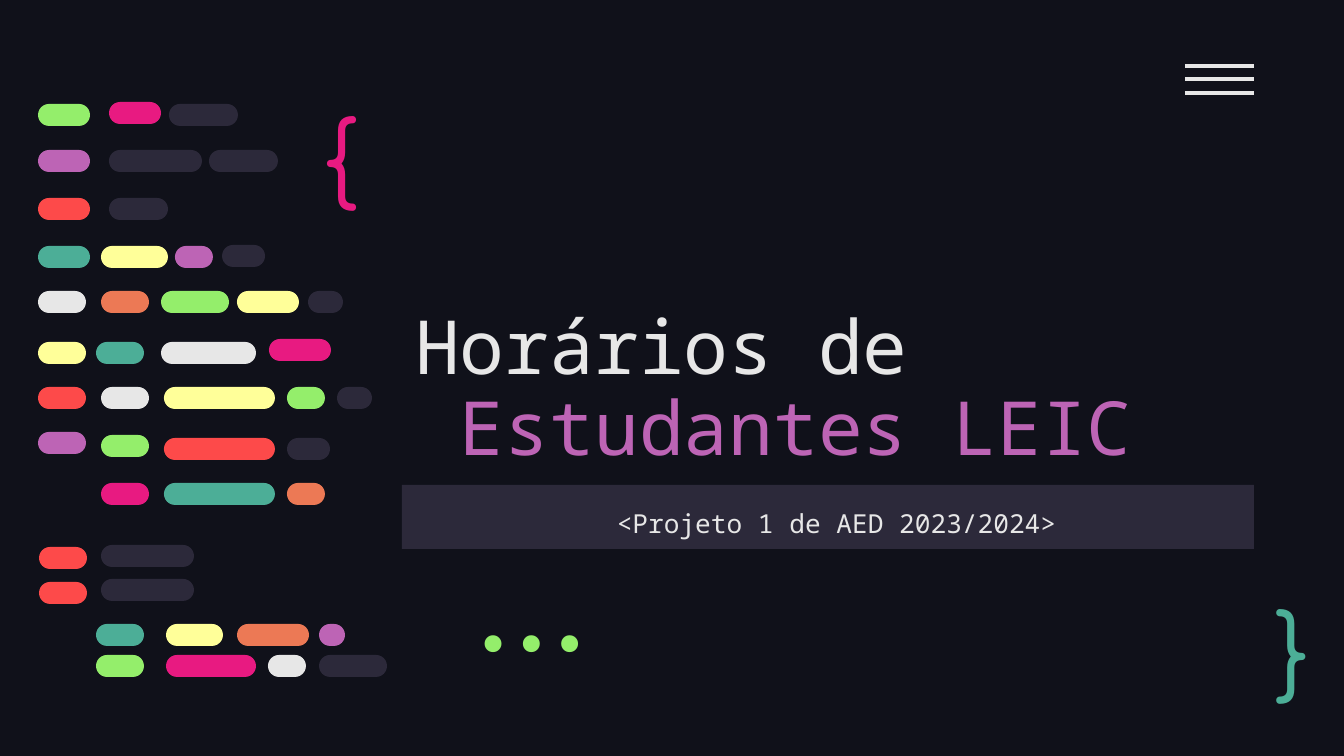
"""Build the title slide of a student timetable project, decorated with code-like pills."""
import lxml.etree
import pptx
import pptx.dml.color
import pptx.enum.shapes
import pptx.enum.text
import pptx.oxml.ns
import pptx.util

ALIGN = pptx.enum.text.PP_ALIGN
ANCHOR = pptx.enum.text.MSO_ANCHOR
SHAPE = pptx.enum.shapes.MSO_SHAPE

THEME = {
    "colours": {
        "night": "10111A", "slate": "2C293A", "white": "E7E7E7",
        "green": "94EE6B", "pink": "E81A81", "purple": "BD64B5",
        "red": "FD4A4A", "teal": "4CAE97", "yellow": "FFFF99", "orange": "EC7955",
    },
    "sizes": {"title": 40, "gap": 16, "subtitle": 14, "symbol": 50},
    "fonts": {"mono": "Noto Sans Mono", "round": "Comfortaa", "code": "Fira Code"},
    "rule": 2.25,
    "inset": 7.2,
}

PAGE_SIZE = (1344, 756)
EMU_PER_PX = pptx.util.Inches(10) / PAGE_SIZE[0]
PILL_HEIGHT = 22

TEXTS = [
    {"at": (402, 185, 852, 300), "anchor": ANCHOR.BOTTOM, "align": ALIGN.LEFT, "spacing": 0.9,
     "lines": [[("Horários de", "title", "mono", "white")],
               [(" Estudantes LEIC", "title", "mono", "purple")]]},
    {"at": (402, 485, 852, 64), "anchor": ANCHOR.TOP, "align": ALIGN.CENTER, "spacing": 1.15,
     "fill": "slate",
     "lines": [[(" ", "gap", "mono", "white"),
                ("<Projeto 1 de AED 2023/2024>", "subtitle", "mono", "white")]]},
    {"at": (309, 83, 103, 128), "anchor": ANCHOR.TOP, "align": ALIGN.LEFT,
     "lines": [[("{", "symbol", "round", "pink")]]},
    {"at": (1262, 589, 77, 112), "anchor": ANCHOR.MIDDLE, "align": ALIGN.LEFT,
     "lines": [[("}", "symbol", "round", "teal")]]},
    {"at": (418, 603, 213, 81), "anchor": ANCHOR.BOTTOM, "align": ALIGN.RIGHT,
     "lines": [[("...", "symbol", "code", "green")]]},
]

MENU = {"left": 1185, "right": 1254, "tops": (66, 79, 93)}

PILL_ROWS = [
    (102, [(109, 52, "pink")]),
    (104, [(38, 52, "green"), (169, 69, "slate")]),
    (150, [(38, 52, "purple"), (109, 93, "slate"), (209, 69, "slate")]),
    (198, [(38, 52, "red"), (109, 59, "slate")]),
    (245, [(222, 43, "slate")]),
    (246, [(38, 52, "teal"), (101, 67, "yellow"), (175, 38, "purple")]),
    (291, [(38, 48, "white"), (101, 48, "orange"), (161, 68, "green"),
           (237, 62, "yellow"), (308, 35, "slate")]),
    (339, [(269, 62, "pink")]),
    (342, [(38, 48, "yellow"), (96, 48, "teal"), (161, 95, "white")]),
    (387, [(38, 48, "red"), (101, 48, "white"), (164, 111, "yellow"),
           (287, 38, "green"), (337, 35, "slate")]),
    (432, [(38, 48, "purple")]),
    (435, [(101, 48, "green")]),
    (438, [(164, 111, "red"), (287, 43, "slate")]),
    (483, [(101, 48, "pink"), (164, 111, "teal"), (287, 38, "orange")]),
    (545, [(101, 93, "slate")]),
    (547, [(39, 48, "red")]),
    (579, [(101, 93, "slate")]),
    (582, [(39, 48, "red")]),
    (624, [(96, 48, "teal"), (166, 57, "yellow"), (237, 72, "orange"), (319, 26, "purple")]),
    (655, [(96, 48, "green"), (166, 90, "pink"), (268, 38, "white"), (319, 68, "slate")]),
]


def px(*lengths):
    return [pptx.util.Emu(round(length * EMU_PER_PX)) for length in lengths]


def colour(name):
    return pptx.dml.color.RGBColor.from_string(THEME["colours"][name])


def paint(fill, name):
    fill.solid()
    fill.fore_color.rgb = colour(name)


def apply(target, values):
    for name, value in values.items():
        setattr(target, name, value)


def add_text(page, item):
    if "fill" in item:
        box = page.shapes.add_shape(SHAPE.RECTANGLE, *px(*item["at"]))
        box.shadow.inherit = False
        box.line.fill.background()
        paint(box.fill, item["fill"])
    else:
        box = page.shapes.add_textbox(*px(*item["at"]))
    frame = box.text_frame
    sides = ("left", "top", "right", "bottom")
    apply(frame, {f"margin_{side}": pptx.util.Pt(THEME["inset"]) for side in sides})
    apply(frame, {"word_wrap": True, "vertical_anchor": item["anchor"]})
    for index, spans in enumerate(item["lines"]):
        para = frame.add_paragraph() if index else frame.paragraphs[0]
        apply(para, {"alignment": item["align"], "line_spacing": item.get("spacing")})
        for text, size, font, tint in spans:
            span = para.add_run()
            span.text = text
            apply(span.font, {"size": pptx.util.Pt(THEME["sizes"][size]),
                              "name": THEME["fonts"][font]})
            span.font.color.rgb = colour(tint)


def add_menu(page):
    group = page.shapes.add_group_shape()
    for y in MENU["tops"]:
        bar = group.shapes.add_connector(pptx.enum.shapes.MSO_CONNECTOR.STRAIGHT,
                                         *px(MENU["left"], y, MENU["right"], y))
        bar.line.color.rgb = colour("white")
        bar.line.width = pptx.util.Pt(THEME["rule"])
        lxml.etree.SubElement(bar._element.spPr, pptx.oxml.ns.qn("a:effectLst"))


def add_pills(page):
    group = page.shapes.add_group_shape()
    for top, pills in PILL_ROWS:
        for left, width, tint in pills:
            pill = group.shapes.add_shape(SHAPE.ROUNDED_RECTANGLE,
                                          *px(left, top, width, PILL_HEIGHT))
            pill.adjustments[0] = 0.5
            pill.shadow.inherit = False
            pill.line.fill.background()
            paint(pill.fill, tint)


def main():
    deck = pptx.Presentation()
    deck.slide_width, deck.slide_height = px(*PAGE_SIZE)
    page = deck.slides.add_slide(deck.slide_layouts[6])
    paint(page.background.fill, "night")
    for item in TEXTS:
        add_text(page, item)
    add_menu(page)
    add_pills(page)
    deck.save("out.pptx")


if __name__ == "__main__":
    main()
